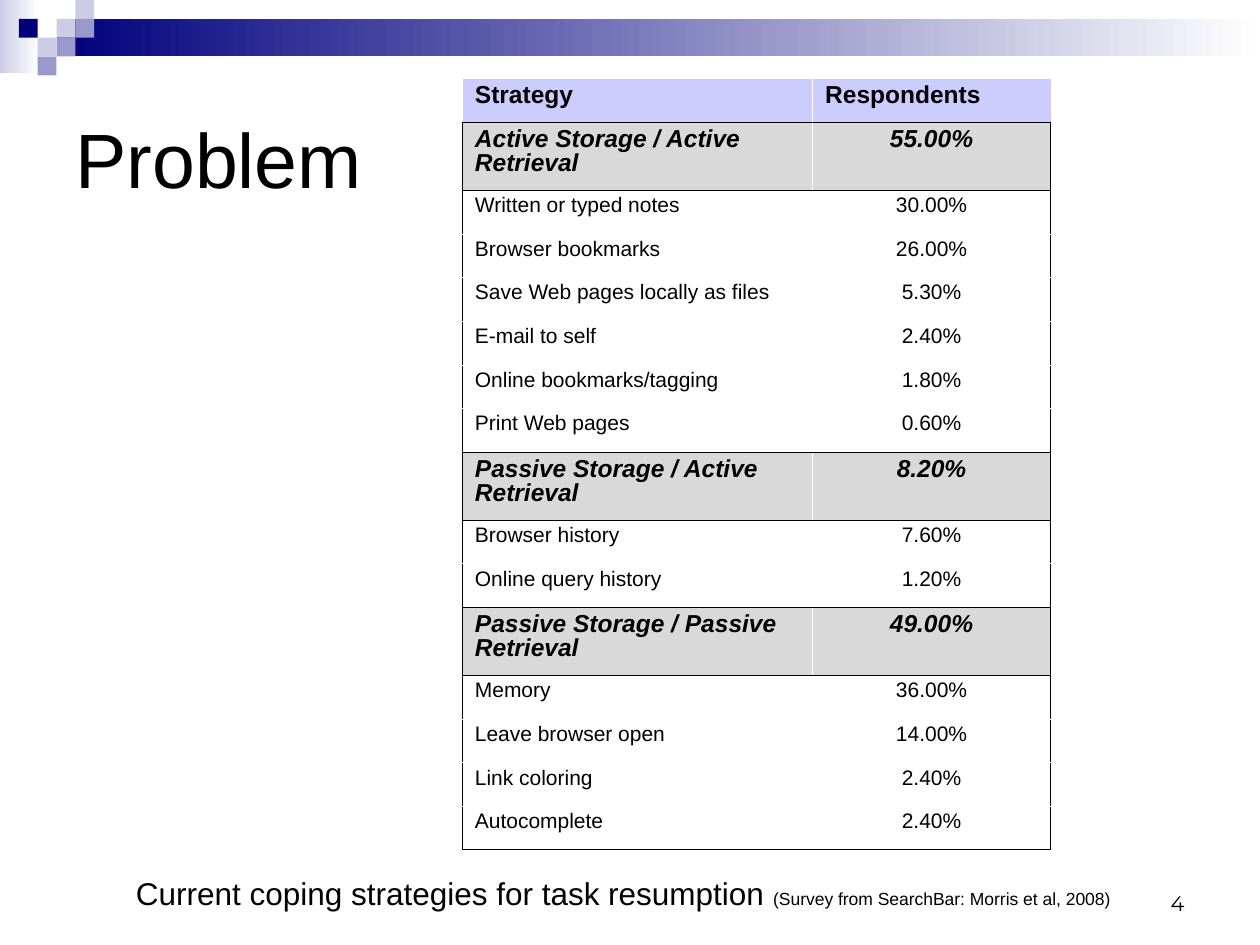
from pptx import Presentation
from pptx.dml.color import RGBColor
from pptx.enum.shapes import MSO_SHAPE
from pptx.enum.text import MSO_ANCHOR, PP_ALIGN
from pptx.oxml.ns import qn
from pptx.util import Cm, Pt
from lxml import etree

RECTANGLE = MSO_SHAPE.RECTANGLE
TOP, MIDDLE, BOTTOM = MSO_ANCHOR.TOP, MSO_ANCHOR.MIDDLE, MSO_ANCHOR.BOTTOM
LEFT, CENTER, RIGHT = PP_ALIGN.LEFT, PP_ALIGN.CENTER, PP_ALIGN.RIGHT

BLACK = RGBColor(0x00, 0x00, 0x00)
WHITE = RGBColor(0xFF, 0xFF, 0xFF)
NAVY = RGBColor(0x00, 0x00, 0x7D)
LAVENDER = RGBColor(0xCC, 0xCC, 0xE6)
PERIWINKLE = RGBColor(0x99, 0x99, 0xCC)
HEADER_BLUE = RGBColor(0xCC, 0xCC, 0xFF)
GROUP_GRAY = RGBColor(0xD9, 0xD9, 0xD9)

SQUARE = 0.38
SQUARES = [
    (3, 1, LAVENDER), (4, 0, LAVENDER), (4, 1, PERIWINKLE), (2, 2, LAVENDER),
    (1, 1, NAVY), (3, 2, PERIWINKLE), (2, 3, PERIWINKLE),
]

HEADER, GROUP, ITEM = "header", "group", "item"
ROW_STYLES = {
    HEADER: {"fill": HEADER_BLUE, "height": 0.88, "font": {"size": Pt(14), "bold": True}},
    GROUP: {"fill": GROUP_GRAY, "height": 1.37,
            "font": {"size": Pt(14), "bold": True, "italic": True}},
    ITEM: {"fill": WHITE, "height": 0.88, "font": {"size": Pt(12), "bold": False}},
}
COLUMN_WIDTHS = [7.06, 4.8]
ROWS = [
    (HEADER, "Strategy", "Respondents"),
    (GROUP, "Active Storage / Active Retrieval", "55.00%"),
    (ITEM, "Written or typed notes", "30.00%"),
    (ITEM, "Browser bookmarks", "26.00%"),
    (ITEM, "Save Web pages locally as files", "5.30%"),
    (ITEM, "E-mail to self", "2.40%"),
    (ITEM, "Online bookmarks/tagging", "1.80%"),
    (ITEM, "Print Web pages", "0.60%"),
    (GROUP, "Passive Storage / Active Retrieval", "8.20%"),
    (ITEM, "Browser history", "7.60%"),
    (ITEM, "Online query history", "1.20%"),
    (GROUP, "Passive Storage / Passive Retrieval", "49.00%"),
    (ITEM, "Memory", "36.00%"),
    (ITEM, "Leave browser open", "14.00%"),
    (ITEM, "Link coloring", "2.40%"),
    (ITEM, "Autocomplete", "2.40%"),
]


class SlideBuilder:
    def __init__(self, slide, font_name="Arial", color=BLACK):
        self.slide = slide
        self.font_name = font_name
        self.color = color

    def format_font(self, font, values):
        for name, value in {"name": self.font_name, **values}.items():
            setattr(font, name, value)
        font.color.rgb = self.color

    def rectangle(self, left, top, width, height, *colors):
        shape = self.slide.shapes.add_shape(
            RECTANGLE, Cm(left), Cm(top), Cm(width), Cm(height))
        shape.shadow.inherit = False
        shape.line.fill.background()
        if len(colors) == 1:
            shape.fill.solid()
            shape.fill.fore_color.rgb = colors[0]
        else:
            shape.fill.gradient()
            shape.fill.gradient_angle = 180
            for stop, color in zip(shape.fill.gradient_stops, colors):
                stop.color.rgb = color

    def text(self, left, top, width, height, runs, anchor=TOP, alignment=LEFT, wrap=True):
        box = self.slide.shapes.add_textbox(Cm(left), Cm(top), Cm(width), Cm(height))
        frame = box.text_frame
        frame.word_wrap = wrap
        frame.vertical_anchor = anchor
        paragraph = frame.paragraphs[0]
        paragraph.alignment = alignment
        for text, values in runs:
            run = paragraph.add_run()
            run.text = text
            self.format_font(run.font, values)

    def cell(self, cell, text, style, alignment, dark_sides):
        properties = cell._tc.get_or_add_tcPr()
        for side in "LRTB":
            dark = side in dark_sides
            line = etree.SubElement(properties, qn(f"a:ln{side}"),
                                    w=str(Pt(0.45 if dark else 0.06)))
            fill = etree.SubElement(line, qn("a:solidFill"))
            etree.SubElement(fill, qn("a:srgbClr"), val=str(BLACK if dark else WHITE))
        cell.fill.solid()
        cell.fill.fore_color.rgb = style["fill"]
        paragraph = cell.text_frame.paragraphs[0]
        paragraph.alignment = alignment
        paragraph.line_spacing = 0.87
        run = paragraph.add_run()
        run.text = text
        self.format_font(run.font, style["font"])

    def table(self, left, top, widths, rows):
        heights = [ROW_STYLES[kind]["height"] for kind, *_ in rows]
        table = self.slide.shapes.add_table(
            len(rows), len(widths), Cm(left), Cm(top), Cm(sum(widths)), Cm(sum(heights))).table
        table.first_row = table.horz_banding = False
        for column, width in zip(table.columns, widths):
            column.width = Cm(width)
        kinds = [kind for kind, *_ in rows] + [GROUP]
        for index, (kind, *texts) in enumerate(rows):
            table.rows[index].height = Cm(heights[index])
            edges = ""
            if index and GROUP in kinds[index - 1:index + 1]:
                edges += "T"
            if GROUP in kinds[index:index + 2]:
                edges += "B"
            for position, text in enumerate(texts):
                side = "" if kind == HEADER else "LR"[position]
                alignment = CENTER if position and kind != HEADER else LEFT
                self.cell(table.cell(index, position), text, ROW_STYLES[kind],
                          alignment, edges + side)


def main():
    presentation = Presentation()
    presentation.slide_width, presentation.slide_height = Cm(25.4), Cm(19.05)
    builder = SlideBuilder(presentation.slides.add_slide(presentation.slide_layouts[6]))

    builder.rectangle(0, 0, 0.79, 1.47, WHITE, LAVENDER)
    builder.rectangle(3 * SQUARE, SQUARE, 24.26, 2 * SQUARE, WHITE, NAVY)
    for column, row, color in SQUARES:
        builder.rectangle(column * SQUARE, row * SQUARE, SQUARE, SQUARE, color)

    builder.text(18.21, 17.35, 5.92, 1.24,
                 [("4", {"size": Pt(12), "name": "Montserrat"})], BOTTOM, RIGHT)
    builder.text(1.27, 1.27, 22.86, 3.81, [("Problem", {"size": Pt(44)})], MIDDLE)
    builder.text(2.49, 17.5, 20.22, 1.02, [
        ("Current coping strategies for task resumption ", {"size": Pt(18)}),
        ("(Survey from SearchBar: Morris et al, 2008)", {"size": Pt(10)}),
    ], wrap=False)
    builder.table(9.32, 1.58, COLUMN_WIDTHS, ROWS)
    presentation.save("out.pptx")


if __name__ == "__main__":
    main()
